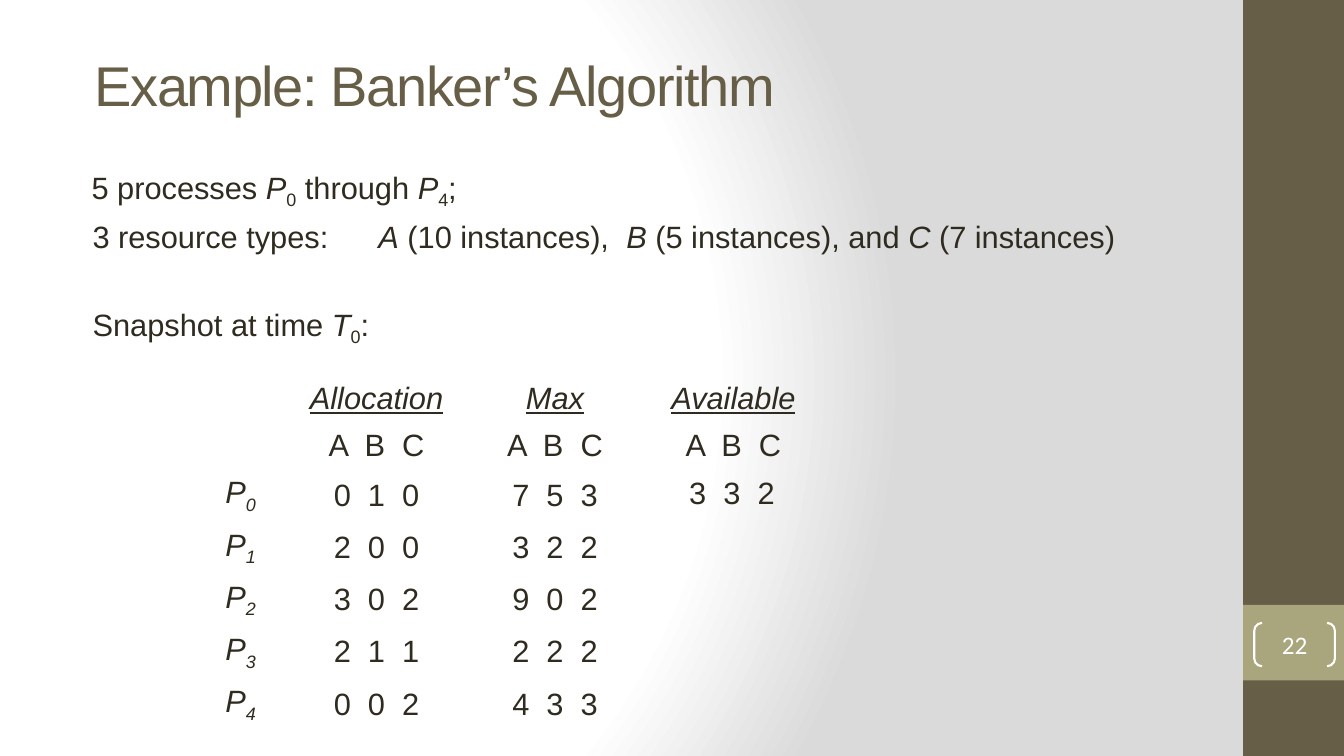
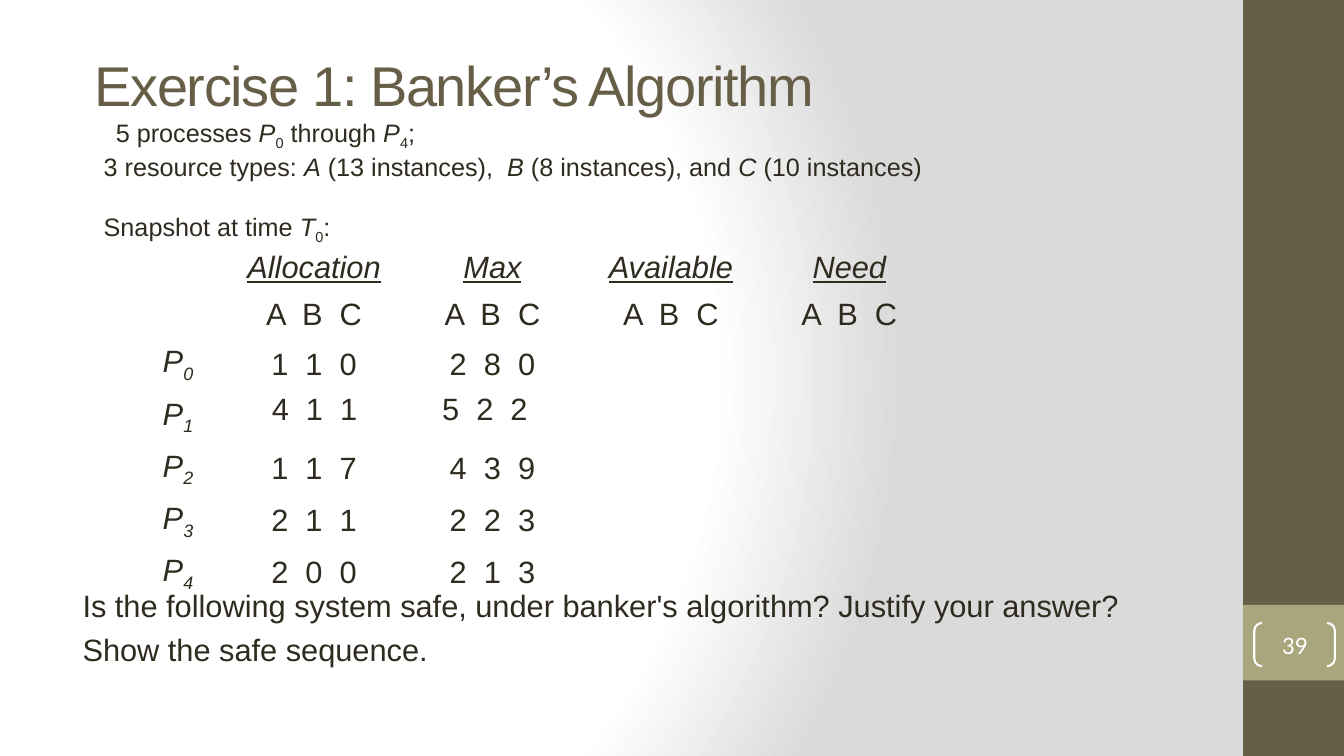
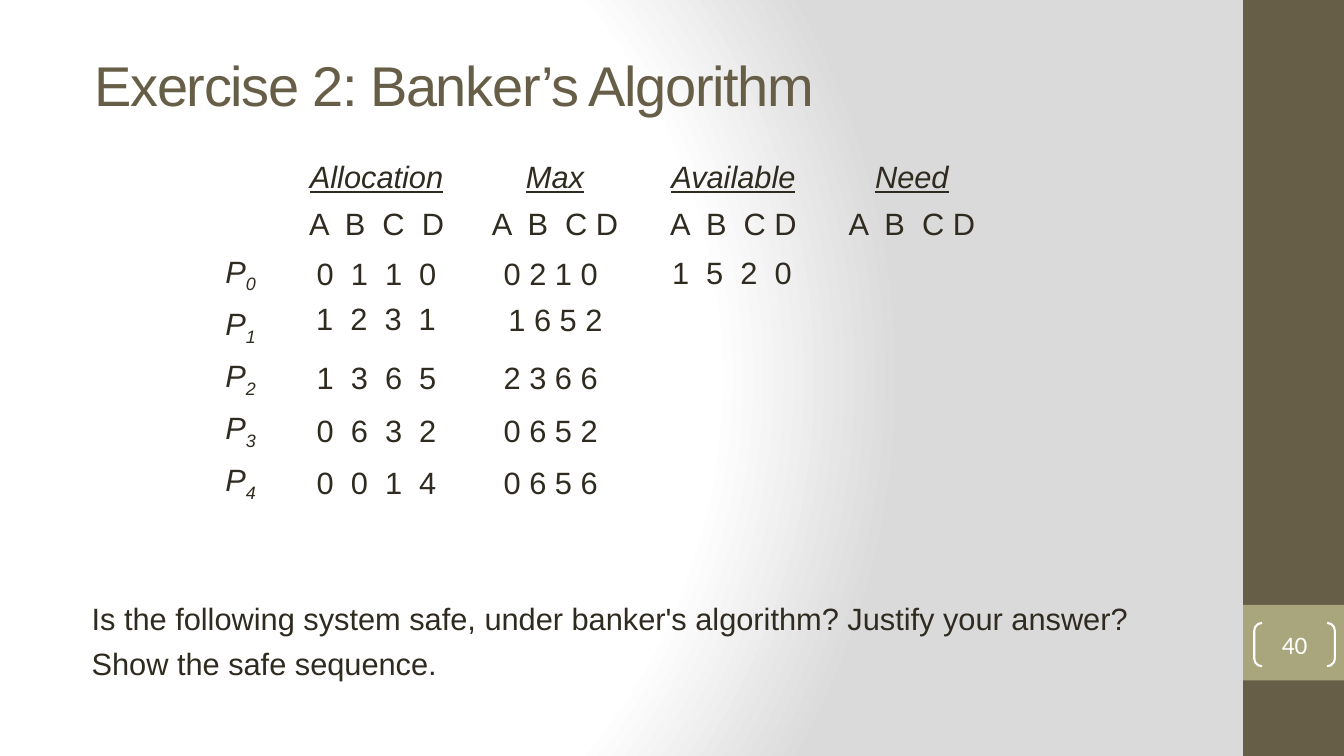
"""Build three slides on the banker's algorithm: one example and two exercises."""
from dataclasses import dataclass

from lxml import etree
from pptx import Presentation
from pptx.dml.color import RGBColor
from pptx.enum.shapes import MSO_SHAPE
from pptx.enum.text import MSO_ANCHOR, PP_ALIGN
from pptx.oxml import parse_xml
from pptx.oxml.ns import nsdecls, qn
from pptx.util import Inches, Pt

RECTANGLE, BRACKETS = MSO_SHAPE.RECTANGLE, MSO_SHAPE.DOUBLE_BRACKET
MIDDLE, TOP = MSO_ANCHOR.MIDDLE, MSO_ANCHOR.TOP
LEFT, CENTER = PP_ALIGN.LEFT, PP_ALIGN.CENTER

BROWN = RGBColor(0x67, 0x5E, 0x47)
KHAKI = RGBColor(0xA9, 0xA5, 0x7C)
INK = RGBColor(0x2F, 0x2B, 0x20)
WHITE = RGBColor(0xFF, 0xFF, 0xFF)

BODY = {"name": "Arial", "size": Pt(22)}
SMALL = {"name": "Arial", "size": Pt(18)}
TITLE = {"name": "Arial", "size": Pt(40)}
NUMBER = {"name": "Calibri", "size": Pt(18)}
ITALIC = {"italic": True}
HEADING = {"italic": True, "underline": True}

PLAIN_TABLE = "{2D5ABB26-0587-4C30-8999-92F81FD0307C}"
TAB_STOPS = ((1.5, "l"), (2.62, "ctr"), (3.93, "ctr"), (5.26, "ctr"))
COLUMN_WIDTHS = (0.93, 1.77, 1.77, 1.77, 1.77)
HEADER_HEIGHT, PROCESS_HEIGHT = 0.47, 0.49
LINE_GAP = 5.4

GRADIENT = f"""<a:gradFill {nsdecls("a")} rotWithShape="1"><a:gsLst>
<a:gs pos="0"><a:srgbClr val="FFFFFF"/></a:gs>
<a:gs pos="75000"><a:srgbClr val="FFFFFF"/></a:gs>
<a:gs pos="100000"><a:srgbClr val="DADADA"/></a:gs></a:gsLst>
<a:path path="circle"><a:fillToRect l="20000" t="50000" r="100000" b="50000"/></a:path>
</a:gradFill>"""


@dataclass(frozen=True)
class Run:
    text: str
    italic: bool = False
    subscript: bool = False


@dataclass(frozen=True)
class Line:
    runs: tuple[Run, ...]
    left: float = 0
    first: float = 0
    before: float = 0
    tabs: tuple[tuple[float, str], ...] = ()


@dataclass(frozen=True)
class Box:
    left: float
    top: float
    width: float
    height: float


@dataclass(frozen=True)
class TextBlock:
    box: Box
    lines: tuple[Line, ...]
    style: dict
    inset: float = 0.05
    align: int = LEFT


@dataclass(frozen=True)
class Snapshot:
    left: float
    top: float
    headings: tuple[str, ...]
    resources: tuple[str, ...]
    processes: tuple[tuple[str, ...], ...]


@dataclass(frozen=True)
class SlideContent:
    title: str
    number: str
    blocks: tuple[TextBlock, ...]
    snapshot: Snapshot


def add_run(paragraph, run: Run, style: dict, color: RGBColor = INK) -> None:
    text_run = paragraph.add_run()
    text_run.text = run.text
    for name, value in style.items():
        setattr(text_run.font, name, value)
    text_run.font.color.rgb = color
    if run.italic:
        text_run.font.italic = True
    if run.subscript:
        text_run.font._element.set("baseline", "-25000")


def format_line(paragraph, line: Line) -> None:
    properties = paragraph._p.get_or_add_pPr()
    properties.set("marL", str(Inches(line.left)))
    properties.set("indent", str(Inches(line.first)))
    if line.tabs:
        tab_list = etree.SubElement(properties, qn("a:tabLst"))
        for position, alignment in line.tabs:
            etree.SubElement(tab_list, qn("a:tab"), pos=str(Inches(position)), algn=alignment)
    if line.before:
        paragraph.space_before = Pt(line.before)


def add_text(slide, block: TextBlock, color: RGBColor = INK, anchor: int = TOP):
    box = block.box
    shape = slide.shapes.add_textbox(
        Inches(box.left), Inches(box.top), Inches(box.width), Inches(box.height))
    frame = shape.text_frame
    frame.word_wrap = True
    frame.vertical_anchor = anchor
    frame.margin_top = Inches(block.inset)
    for index, line in enumerate(block.lines):
        paragraph = frame.add_paragraph() if index else frame.paragraphs[0]
        format_line(paragraph, line)
        paragraph.alignment = block.align
        for run in line.runs:
            add_run(paragraph, run, block.style, color)
    return shape


def add_band(slide, box: Box, color: RGBColor) -> None:
    band = slide.shapes.add_shape(
        RECTANGLE, Inches(box.left), Inches(box.top), Inches(box.width), Inches(box.height))
    band.shadow.inherit = False
    band.fill.solid()
    band.fill.fore_color.rgb = color
    band.line.fill.background()


def add_number(slide, number: str) -> None:
    brackets = slide.shapes.add_shape(
        BRACKETS, Inches(12.44), Inches(6.18), Inches(0.8), Inches(0.43))
    brackets.adjustments[0] = 0.18
    brackets.shadow.inherit = False
    brackets.fill.background()
    brackets.line.color.rgb = WHITE
    brackets.line.width = Pt(1.5)
    frame = brackets.text_frame
    for side in ("left", "top", "right", "bottom"):
        setattr(frame, f"margin_{side}", 0)
    frame.vertical_anchor = MIDDLE
    paragraph = frame.paragraphs[0]
    paragraph.alignment = CENTER
    add_run(paragraph, Run(number), NUMBER, WHITE)


def add_title(slide, title: str) -> None:
    block = TextBlock(Box(0.84, 0.61, 10.91, 0.45), (Line((Run(title),)),), TITLE)
    shape = add_text(slide, block, BROWN, MIDDLE)
    shape.text_frame.paragraphs[0].runs[0].font._element.set("spc", "-100")


def fill_cell(cell, runs: tuple[Run, ...], style: dict) -> None:
    paragraph = cell.text_frame.paragraphs[0]
    paragraph.alignment = CENTER
    for run in runs:
        add_run(paragraph, run, style)


def add_snapshot(slide, snapshot: Snapshot) -> None:
    heights = [HEADER_HEIGHT] * 2 + [PROCESS_HEIGHT] * len(snapshot.processes)
    graphic_frame = slide.shapes.add_table(
        len(heights), len(COLUMN_WIDTHS), Inches(snapshot.left), Inches(snapshot.top),
        Inches(sum(COLUMN_WIDTHS)), Inches(sum(heights)))
    table = graphic_frame.table
    table.first_row = table.horz_banding = False
    for style_id in graphic_frame._element.iter(qn("a:tableStyleId")):
        style_id.text = PLAIN_TABLE
    for column, width in zip(table.columns, COLUMN_WIDTHS):
        column.width = Inches(width)
    for row, height in zip(table.rows, heights):
        row.height = Inches(height)
    for cell in table.iter_cells():
        cell.fill.background()
        cell.vertical_anchor = MIDDLE
    rows = (snapshot.headings, snapshot.resources, *snapshot.processes)
    for row_index, values in enumerate(rows):
        style = BODY if row_index else BODY | HEADING
        for column_index, value in enumerate(values, start=1):
            fill_cell(table.cell(row_index, column_index), (Run(value),), style)
    for index in range(len(snapshot.processes)):
        name = (Run("P"), Run(str(index), subscript=True))
        fill_cell(table.cell(index + 2, 0), name, BODY | ITALIC)


def process_runs() -> tuple[Run, ...]:
    return (Run("5 processes "), Run("P", italic=True), Run("0", subscript=True),
            Run(" through "), Run("P", italic=True), Run("4", subscript=True), Run(";"))


def resource_runs(gap: str, a: int, b: int, c: int) -> tuple[Run, ...]:
    return (Run(f"3 resource types:{gap}"), Run("A", italic=True),
            Run(f" ({a} instances),  "), Run("B", italic=True),
            Run(f" ({b} instances), and "), Run("C", italic=True),
            Run(f" ({c} instances)"))


def time_runs() -> tuple[Run, ...]:
    return (Run("Snapshot at time "), Run("T", italic=True),
            Run("0", subscript=True), Run(":"))


def question(left: float, top: float) -> TextBlock:
    lines = (
        Line((Run("Is the following system safe, under banker's algorithm? "
                  "Justify your answer?"),), left=0.12),
        Line((Run("Show the safe sequence."),), left=0.12, before=LINE_GAP))
    return TextBlock(Box(left, top, 11.41, 0.95), lines, BODY, inset=0.08)


def values_block(left: float, top: float, values: str) -> TextBlock:
    return TextBlock(Box(left, top, 1.5, 0.47), (Line((Run(values),)),), BODY, align=CENTER)


SLIDES = (
    SlideContent(
        "Example: Banker’s Algorithm", "22",
        (TextBlock(Box(0.69, 1.59, 11.41, 5.91), (
            Line(process_runs(), 0.12),
            Line(resource_runs("\t ", 10, 5, 7), 0.38, -0.25, LINE_GAP, TAB_STOPS),
            Line(time_runs(), 0.38, -0.25, 36)), BODY, inset=0.08),
         values_block(6.51, 4.65, "3  3  2")),
        Snapshot(1.92, 3.72, ("Allocation", "Max", "Available"), ("A  B  C",) * 3,
                 (("0  1  0", "7  5  3"), ("2  0  0", "3  2  2"), ("3  0  2", "9  0  2"),
                  ("2  1  1", "2  2  2"), ("0  0  2", "4  3  3")))),
    SlideContent(
        "Exercise 1: Banker’s Algorithm", "39",
        (question(0.6, 5.74),
         values_block(2.37, 3.82, "4  1  1"),
         values_block(4.06, 3.82, "5  2  2"),
         TextBlock(Box(0.93, 1.11, 10.72, 1.31), (
             Line(process_runs(), 0.12),
             Line(resource_runs(" ", 13, 8, 10)),
             Line(time_runs(), before=21)), SMALL)),
        Snapshot(1.3, 2.42, ("Allocation", "Max", "Available", "Need"), ("A  B  C",) * 4,
                 (("1  1  0", "2  8  0"), (), ("1  1  7", "4  3  9"),
                  ("2  1  1", "2  2  3"), ("2  0  0", "2  1  3")))),
    SlideContent(
        "Exercise 2: Banker’s Algorithm", "40",
        (question(0.69, 5.87),
         values_block(6.51, 2.47, "1  5  2  0"),
         values_block(2.98, 2.92, "1  2  3  1"),
         values_block(4.76, 2.93, "1 6 5 2")),
        Snapshot(1.92, 1.53, ("Allocation", "Max", "Available", "Need"),
                 ("A  B  C  D", *("A  B  C D",) * 3),
                 (("0  1  1  0", "0 2 1 0 "), (), ("1  3  6  5", "2 3 6 6 "),
                  ("0  6  3  2", "0 6 5 2 "), ("0  0  1  4", "0 6 5 6 ")))),
)


def set_background(presentation) -> None:
    master = presentation.slide_master
    master.background.fill.gradient()
    default_gradient = master.element.cSld.find(".//" + qn("a:gradFill"))
    default_gradient.getparent().replace(default_gradient, parse_xml(GRADIENT))


def build_slide(presentation, content: SlideContent) -> None:
    slide = presentation.slides.add_slide(presentation.slide_layouts[6])
    add_band(slide, Box(12.33, 0, 1, 7.5), BROWN)
    add_band(slide, Box(12.33, 6, 1, 0.75), KHAKI)
    add_title(slide, content.title)
    add_number(slide, content.number)
    add_snapshot(slide, content.snapshot)
    for block in content.blocks:
        add_text(slide, block)


def main() -> None:
    presentation = Presentation()
    presentation.slide_width = Inches(13.33)
    presentation.slide_height = Inches(7.5)
    set_background(presentation)
    for content in SLIDES:
        build_slide(presentation, content)
    presentation.save("out.pptx")


if __name__ == "__main__":
    main()
